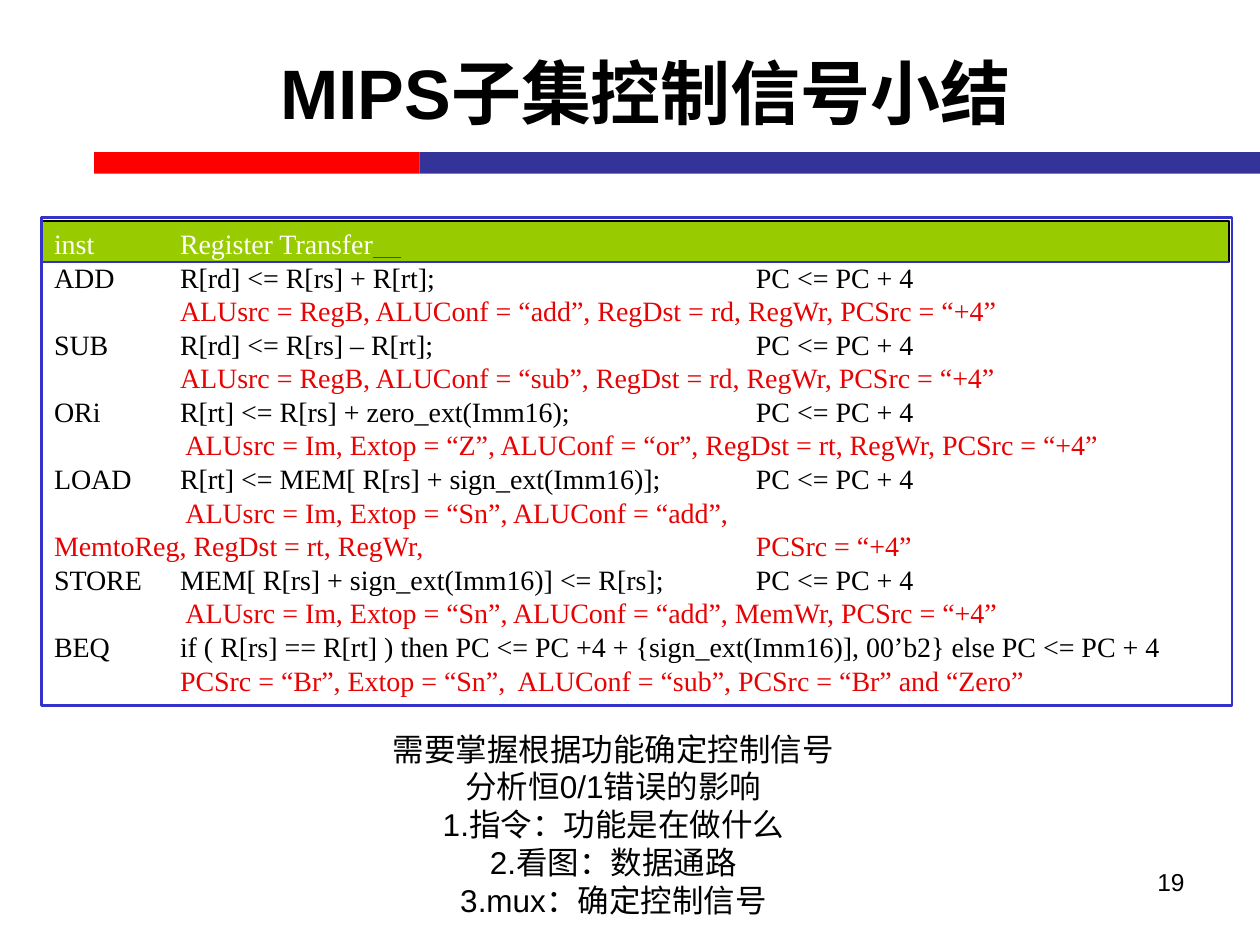
"""Build the slide that sums up the control signals of the MIPS subset."""
import dataclasses

import lxml.etree
import pptx
import pptx.dml.color
import pptx.enum.shapes
import pptx.enum.text
import pptx.oxml.ns
import pptx.util

Cm = pptx.util.Cm
Pt = pptx.util.Pt
Align = pptx.enum.text.PP_ALIGN
Anchor = pptx.enum.text.MSO_ANCHOR
Rectangle = pptx.enum.shapes.MSO_SHAPE.RECTANGLE
qn = pptx.oxml.ns.qn


@dataclasses.dataclass(frozen=True)
class Theme:
    black: str = "000000"
    white: str = "FFFFFF"
    red_bar: str = "FF0000"
    blue_bar: str = "333399"
    header: str = "99CC00"
    frame: str = "3333CC"
    signal: str = "E70303"
    underline: str = "CC0066"
    sans: str = "Arial"
    serif: str = "Times New Roman"
    title_size: int = 40
    summary_size: int = 18
    table_size: int = 16
    number_size: int = 14
    leading: float = 1.2


theme = Theme()


def format_runs(paragraph, name, size, color, bold=False):
    for run in paragraph.runs:
        run.font.name = name
        run.font.size = Pt(size)
        run.font.bold = bold
        run.font.color.rgb = pptx.dml.color.RGBColor.from_string(color)


def add_box(left, top, width, height, fill=None, line=None, line_width=1):
    shape = slide.shapes.add_shape(Rectangle, Cm(left), Cm(top), Cm(width), Cm(height))
    shape.shadow.inherit = False
    if fill:
        shape.fill.solid()
        shape.fill.fore_color.rgb = pptx.dml.color.RGBColor.from_string(fill)
    else:
        shape.fill.background()
    if line:
        shape.line.color.rgb = pptx.dml.color.RGBColor.from_string(line)
        shape.line.width = Pt(line_width)
    else:
        shape.line.fill.background()
    return shape


presentation = pptx.Presentation()
presentation.slide_width = Cm(25.4)
presentation.slide_height = Cm(19.05)
slide = presentation.slides.add_slide(presentation.slide_layouts[1])

title = slide.shapes.title
title.left, title.top, title.width, title.height = Cm(4.88), Cm(0.84), Cm(16.26), Cm(2.01)
title.text_frame.text = "MIPS子集控制信号小结"
title.text_frame.word_wrap = False
title.text_frame.auto_size = pptx.enum.text.MSO_AUTO_SIZE.NONE
title.text_frame.vertical_anchor = Anchor.MIDDLE
title.text_frame.paragraphs[0].alignment = Align.CENTER
format_runs(title.text_frame.paragraphs[0], theme.sans, theme.title_size, theme.black, bold=True)

add_box(1.9, 3.07, 6.56, 0.43, fill=theme.red_bar)
add_box(8.46, 3.07, 16.94, 0.43, fill=theme.blue_bar)
add_box(0.84, 4.45, 23.93, 0.84, fill=theme.header, line=theme.black)

instruction_lines = [
    ("inst \tRegister Transfer", theme.white),
    ("ADD\tR[rd] <= R[rs] + R[rt];\tPC <= PC + 4", theme.black),
    ("\tALUsrc = RegB, ALUConf = “add”, RegDst = rd, RegWr, PCSrc = “+4”", theme.signal),
    ("SUB\tR[rd] <= R[rs] – R[rt];\tPC <= PC + 4", theme.black),
    ("\tALUsrc = RegB, ALUConf = “sub”, RegDst = rd, RegWr, PCSrc = “+4”", theme.signal),
    ("ORi\tR[rt] <= R[rs] + zero_ext(Imm16); \tPC <= PC + 4", theme.black),
    ("\t ALUsrc = Im, Extop = “Z”, ALUConf = “or”, RegDst = rt, RegWr, PCSrc = “+4”", theme.signal),
    ("LOAD\tR[rt] <= MEM[ R[rs] + sign_ext(Imm16)];\tPC <= PC + 4", theme.black),
    ("\t ALUsrc = Im, Extop = “Sn”, ALUConf = “add”,\v"
     "MemtoReg, RegDst = rt, RegWr, \tPCSrc = “+4”", theme.signal),
    ("STORE\tMEM[ R[rs] + sign_ext(Imm16)] <= R[rs];\tPC <= PC + 4", theme.black),
    ("\t ALUsrc = Im, Extop = “Sn”, ALUConf = “add”, MemWr, PCSrc = “+4”", theme.signal),
    ("BEQ\tif ( R[rs] == R[rt] ) then PC <= PC +4 + {sign_ext(Imm16)], 00’b2} else PC <= PC + 4",
     theme.black),
    ("\tPCSrc = “Br”, Extop = “Sn”,  ALUConf = “sub”, PCSrc = “Br” and “Zero”", theme.signal),
]
instructions = add_box(0.84, 4.39, 24, 9.83, line=theme.frame, line_width=1.5)
text_frame = instructions.text_frame
text_frame.word_wrap = True
text_frame.vertical_anchor = Anchor.MIDDLE
text_frame.text = "\n".join(text for text, color in instruction_lines)
for paragraph, (text, color) in zip(text_frame.paragraphs, instruction_lines):
    properties = paragraph._p.get_or_add_pPr()
    tab_list = lxml.etree.SubElement(properties, qn("a:tabLst"))
    for position in (2.54, 14.15):
        lxml.etree.SubElement(tab_list, qn("a:tab"), pos=str(Cm(position)), algn="l")
    paragraph.alignment = Align.LEFT
    paragraph.line_spacing = Pt(theme.table_size * theme.leading)
    format_runs(paragraph, theme.serif, theme.table_size, color)

underline = text_frame.paragraphs[0].add_run()
underline.text = "    "
underline.font.name = theme.serif
underline.font.size = Pt(theme.table_size)
underline.font.underline = True
underline.font.color.rgb = pptx.dml.color.RGBColor.from_string(theme.underline)

header_rule = slide.shapes.add_connector(
    pptx.enum.shapes.MSO_CONNECTOR.STRAIGHT, Cm(0.84), Cm(5.28), Cm(24.77), Cm(5.28))
header_rule.line.color.rgb = pptx.dml.color.RGBColor.from_string(theme.frame)
header_rule.line.width = Pt(1)
lxml.etree.SubElement(header_rule._element.spPr, qn("a:effectLst"))

number = slide.shapes.add_textbox(Cm(18.21), Cm(17.35), Cm(5.92), Cm(1.32))
number.text_frame.word_wrap = True
number.text_frame.text = "19"
number.text_frame.paragraphs[0].alignment = Align.RIGHT
format_runs(number.text_frame.paragraphs[0], theme.sans, theme.number_size, theme.black)

summary = slide.placeholders[1]
summary.left, summary.top, summary.width, summary.height = Cm(4.29), Cm(14.58), Cm(16.15), Cm(4.11)
summary.text_frame.text = "\n".join([
    "需要掌握根据功能确定控制信号",
    "分析恒0/1错误的影响",
    "1.指令：功能是在做什么",
    "2.看图：数据通路",
    "3.mux：确定控制信号",
])
summary.text_frame.auto_size = pptx.enum.text.MSO_AUTO_SIZE.NONE
for paragraph in summary.text_frame.paragraphs:
    properties = paragraph._p.get_or_add_pPr()
    properties.set("marL", "0")
    properties.set("indent", "0")
    lxml.etree.SubElement(properties, qn("a:buNone"))
    paragraph.alignment = Align.CENTER
    paragraph.space_before = Pt(0)
    paragraph.line_spacing = Pt(theme.summary_size * theme.leading)
    format_runs(paragraph, theme.sans, theme.summary_size, theme.black)

presentation.save("out.pptx")
